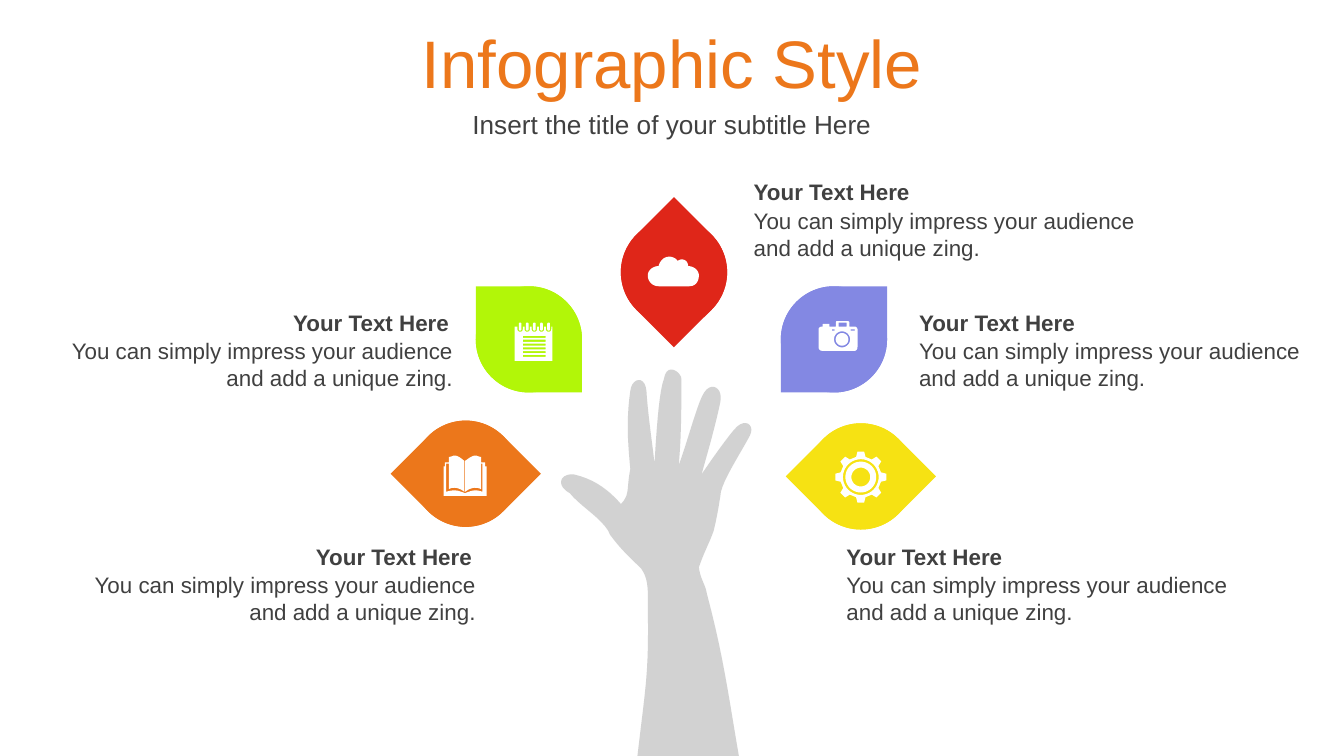
from math import cos, pi, sin

from lxml import etree
from pptx import Presentation
from pptx.dml.color import RGBColor
from pptx.enum.shapes import MSO_SHAPE
from pptx.enum.text import MSO_ANCHOR, MSO_AUTO_SIZE, PP_ALIGN
from pptx.oxml.ns import qn
from pptx.util import Inches, Pt

TEARDROP = MSO_SHAPE.TEAR
MIDDLE = MSO_ANCHOR.MIDDLE
NO_FIT = MSO_AUTO_SIZE.NONE
LEFT, CENTER, RIGHT = PP_ALIGN.LEFT, PP_ALIGN.CENTER, PP_ALIGN.RIGHT

COLORS = {
    "orange": "EC771B", "green": "B2F608", "red": "DF2619", "violet": "8388E3",
    "yellow": "F6E213", "text": "404040", "white": "FFFFFF", "hand": "BFBFBF",
}
FONT = "Arial"
PETAL = 0.79
HEADING = "Your Text Here"
BODY = "You can simply impress your audience and add a unique zing."

# Outlines are in hundredths of an inch from the box corner:
# pairs are line ends, sixes are Bezier curves.
HAND = [
    (57, 290), (133, 289), (125, 242, 121, 212, 109, 167), (108, 160, 104, 156, 103, 147),
    (108, 133, 110, 131, 114, 120), (117, 107, 117, 106, 119, 94),
    (119, 85, 133, 64, 141, 49), (145, 41, 137, 35, 129, 45),
    (123, 52, 111, 69, 105, 78), (110, 60, 115, 43, 119, 24),
    (121, 13, 112, 9, 107, 17), (102, 24, 93, 59, 88, 71),
    (90, 51, 90, 27, 90, 7), (90, 2, 79, -6, 77, 7),
    (73, 17, 71, 53, 70, 70), (68, 52, 65, 33, 64, 16),
    (63, 4, 53, 6, 52, 16), (49, 36, 50, 54, 52, 74),
    (49, 88, 52, 93, 45, 100), (37, 91, 27, 82, 10, 78),
    (0, 77, -4, 86, 7, 92), (15, 102, 33, 112, 37, 123),
    (45, 134, 52, 140, 60, 148), (66, 156, 65, 166, 65, 177),
    (66, 227, 63, 238, 57, 290),
]
CLOUD = [
    (16, 0), (18, 0, 21, 1, 22, 3), (23, 3, 24, 2, 25, 2), (28, 2, 30, 4, 30, 7),
    (34, 7, 38, 10, 38, 14), (38, 19, 35, 22, 31, 22), (8, 22),
    (4, 22, 0, 19, 0, 14), (0, 10, 4, 7, 8, 7), (9, 3, 12, 0, 16, 0),
]
BOOK = [
    (16, 28), (21, 26, 24, 25, 29, 27), (29, 6), (28, 6), (28, 25),
    (24, 23, 20, 24, 16, 27), (16, 4), (19, 2, 21, 0, 24, 0), (25, 0, 26, 1, 28, 1),
    (28, 5), (31, 5), (31, 8), (32, 8), (32, 30), (0, 30), (0, 8), (1, 8), (1, 5),
    (4, 5), (4, 1), (6, 1, 7, 0, 8, 0), (11, 0, 13, 2, 15.5, 4), (15.5, 27),
    (12, 24, 7, 23, 4, 25), (4, 6), (2, 6), (2, 27), (8, 25, 11, 26, 16, 28),
]
CAMERA_BODY = [
    (14, 0), (22, 0), (22, 0, 23, 0, 23, 1), (23, 4), (27, 4), (28, 4, 29, 5, 29, 6),
    (29, 19), (29, 21, 28, 22, 27, 22), (3, 22), (1, 22, 0, 21, 0, 19), (0, 6),
    (0, 5, 1, 4, 3, 4), (3, 3), (3, 2, 3, 2, 4, 2), (8, 2), (8, 2, 8, 2, 8, 3),
    (8, 4), (13, 4), (13, 1), (13, 0, 13, 0, 14, 0),
]


def flatten(outline, steps=10):
    """Turn line ends and Bezier curves into one list of points."""
    pts = [outline[0]]
    for seg in outline[1:]:
        if len(seg) == 2:
            pts.append(seg)
            continue
        ctrl = [pts[-1], seg[:2], seg[2:4], seg[4:]]
        for i in range(1, steps + 1):
            t = i / steps
            weights = ((1 - t) ** 3, 3 * t * (1 - t) ** 2, 3 * t * t * (1 - t), t ** 3)
            pts.append(tuple(sum(w * c[k] for w, c in zip(weights, ctrl)) for k in (0, 1)))
    return pts


def circle(cx, cy, r, n=40):
    return [(cx + r * cos(2 * pi * i / n), cy + r * sin(2 * pi * i / n)) for i in range(n)]


def rect(x, y, w, h):
    return [(x, y), (x + w, y), (x + w, y + h), (x, y + h)]


def paint(sp, color):
    sp.shadow.inherit = False
    sp.fill.solid()
    sp.fill.fore_color.rgb = RGBColor.from_string(COLORS[color])
    sp.line.fill.background()


def draw_outlines(slide, x, y, outlines, color="white"):
    """Draw closed outlines as one shape; inner outlines become holes."""
    builder = None
    for outline in outlines:
        pts = [(Inches(x + px / 100), Inches(y + py / 100)) for px, py in flatten(outline)]
        if builder is None:
            builder = slide.shapes.build_freeform(*pts[0])
        else:
            builder.move_to(*pts[0])
        builder.add_line_segments(pts[1:], close=True)
    sp = builder.convert_to_shape()
    paint(sp, color)
    return sp


def add_hand(slide, x, y):
    sp = draw_outlines(slide, x, y, [HAND], "hand")
    color = sp.fill._xPr.find(qn("a:solidFill"))[0]
    etree.SubElement(color, qn("a:alpha"), val="70000")


def add_book(slide, x, y):
    draw_outlines(slide, x, y, [BOOK])


def add_cloud(slide, x, y):
    draw_outlines(slide, x, y, [CLOUD])


def add_notepad(slide, x, y):
    rings = [4 + 5.3 * i for i in range(5)]
    page = [(0, 3)]
    for c in rings:
        page += [(c - 2, 3), (c - 2, 5), (c - 2, 7.5, c + 2, 7.5, c + 2, 5), (c + 2, 3)]
    page += [(28, 3), (28, 28.5), (0, 28.5)]
    lines = [rect(6, 10 + 2.8 * i, 17, 1.5) for i in range(6)]
    pins = [[(c - 1, 1), (c - 1, -0.3, c + 1, -0.3, c + 1, 1), (c + 1, 5),
             (c + 1, 6.3, c - 1, 6.3, c - 1, 5)] for c in rings]
    draw_outlines(slide, x, y, [page] + lines + pins)


def add_camera(slide, x, y):
    draw_outlines(slide, x, y, [
        CAMERA_BODY, circle(17.5, 13.5, 6), circle(17.5, 13.5, 4.7),
        rect(10, 6, 2, 1), rect(24, 6, 3, 1), rect(15, 1, 6, 3)])


def add_gear(slide, x, y):
    cx, cy = 18.5, 19
    cog = []
    for i in range(8):
        a = i * pi / 4
        for across, out in ((-3.5, 15), (-2.5, 19), (2.5, 19), (3.5, 15)):
            cog.append((cx + out * cos(a) - across * sin(a),
                        cy + out * sin(a) + across * cos(a)))
    draw_outlines(slide, x, y, [cog] + [circle(cx, cy, r) for r in (13.3, 11.5, 7)])


def add_petal(slide, x, y, angle, color):
    """Two opposed teardrops make a petal with two tips."""
    for turn in (angle, angle + 180):
        sp = slide.shapes.add_shape(TEARDROP, Inches(x), Inches(y), Inches(PETAL), Inches(PETAL))
        sp.rotation = turn % 360
        paint(sp, color)


def write(tf, text, size, align, color="text", bold=False):
    tf.word_wrap = True
    tf.text = text
    p = tf.paragraphs[0]
    p.alignment = align
    p.space_before = Pt(0)
    p.font.name, p.font.size, p.font.bold = FONT, Pt(size), bold
    p.font.color.rgb = RGBColor.from_string(COLORS[color])


def add_caption(slide, x, y, w, align):
    for text, dy, width, h, bold in ((BODY, 0.21, w, 0.5, False),
                                     (HEADING, 0, w - 0.03, 0.3, True)):
        sp = slide.shapes.add_textbox(Inches(x), Inches(y + dy), Inches(width), Inches(h))
        write(sp.text_frame, text, 12, align, bold=bold)


def add_heading(sp, y, h, text, size, color):
    sp.left, sp.top, sp.width, sp.height = Inches(0), Inches(y), Inches(10), Inches(h)
    tf = sp.text_frame
    tf.auto_size = NO_FIT
    tf.vertical_anchor = MIDDLE
    write(tf, text, size, CENTER, color)


def main():
    prs = Presentation()
    prs.slide_width = Inches(10)
    prs.slide_height = prs.slide_width * 9 // 16
    slide = prs.slides.add_slide(prs.slide_layouts[0])
    title, subtitle = slide.placeholders
    add_heading(title, 0.14, 0.63, "Infographic Style", 36, "orange")
    add_heading(subtitle, 0.77, 0.31, "Insert the title of your subtitle Here", 14, "text")
    add_hand(slide, 4.17, 2.75)

    # petal x, y, angle, colour; icon, its offset; caption x, y, width, alignment
    items = [
        (3.07, 3.13, 45, "orange", add_book, 0.23, 0.26, 0.3, 3.99, 3.34, RIGHT),
        (3.54, 2.13, 90, "green", add_notepad, 0.29, 0.27, 0.3, 2.25, 3.17, RIGHT),
        (4.62, 1.63, 135, "red", add_cloud, 0.2, 0.28, 5.51, 1.28, 3.23, LEFT),
        (5.81, 2.13, 180, "violet", add_camera, 0.28, 0.26, 6.74, 2.25, 3.23, LEFT),
        (6.01, 3.15, 225, "yellow", add_gear, 0.21, 0.21, 6.2, 3.99, 3.23, LEFT),
    ]
    for x, y, angle, color, add_icon, dx, dy, *caption in items:
        add_petal(slide, x, y, angle, color)
        add_icon(slide, x + dx, y + dy)
        add_caption(slide, *caption)
    prs.save("out.pptx")


if __name__ == "__main__":
    main()
